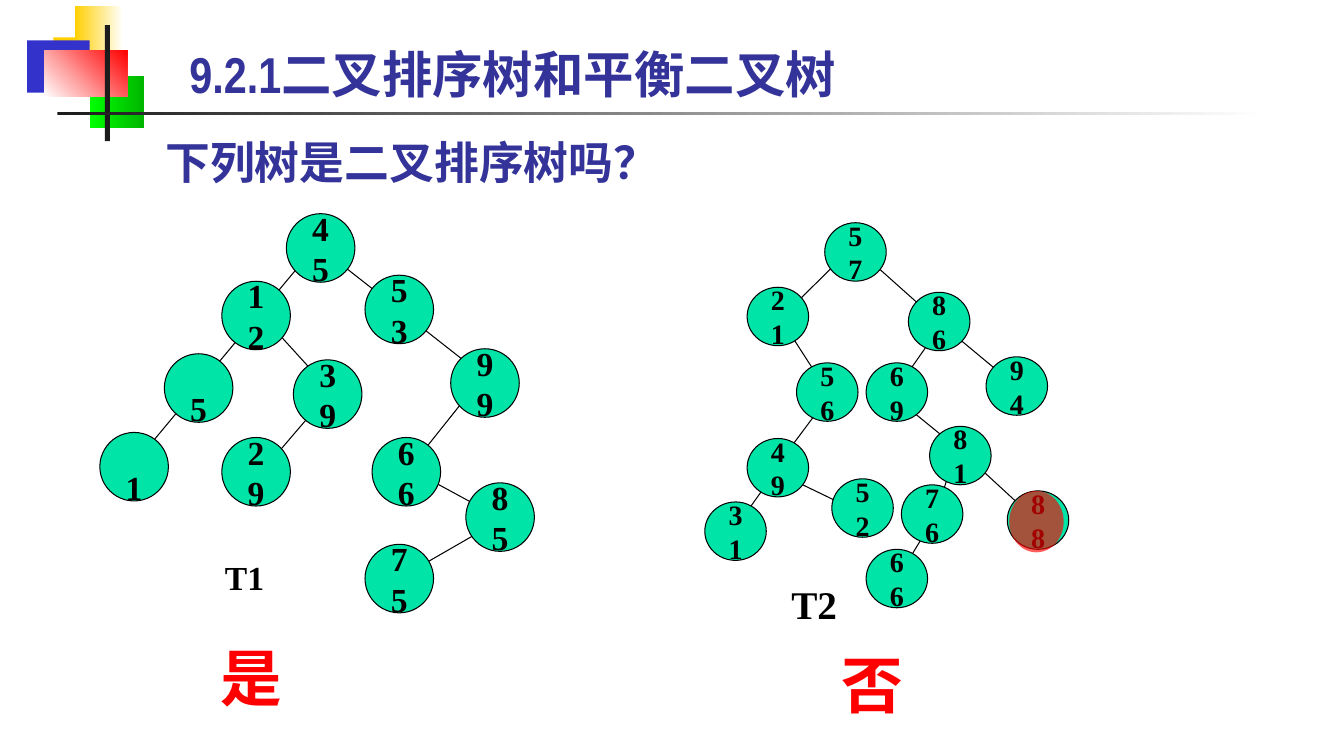
from lxml import etree
from pptx import Presentation
from pptx.dml.color import RGBColor
from pptx.enum.shapes import MSO_CONNECTOR, MSO_SHAPE
from pptx.enum.text import MSO_ANCHOR, PP_ALIGN
from pptx.oxml.ns import qn
from pptx.util import Inches, Pt

BLACK = RGBColor(0x00, 0x00, 0x00)
WHITE = RGBColor(0xFF, 0xFF, 0xFF)
RED = RGBColor(0xFF, 0x00, 0x00)
NAVY = RGBColor(0x33, 0x33, 0x99)
BLUE = RGBColor(0x33, 0x33, 0xCC)
GOLD = RGBColor(0xFF, 0xCF, 0x01)
LIME = RGBColor(0x00, 0xFF, 0x00)
GREEN = RGBColor(0x00, 0xB6, 0x00)
INK = RGBColor(0x1C, 0x1C, 0x1C)
MINT = RGBColor(0x00, 0xE4, 0xA8)
SERIF = "Times New Roman"
HAN = "Noto Sans CJK SC"

# Nodes: value, left, top
NODES_ONE = [
    ("45", 2.84, 2.12), ("99", 4.47, 3.46), ("53", 3.62, 2.73),
    ("12", 2.2, 2.79), ("5", 1.63, 3.51), ("75", 3.62, 5.4),
    ("85", 4.62, 4.79), ("66", 3.69, 4.34), ("29", 2.2, 4.34),
    ("39", 2.91, 3.57), ("1", 0.99, 4.29),
]
NODES_TWO = [
    ("88", 9.99, 4.87), ("66", 8.59, 5.45), ("81", 9.22, 4.23),
    ("52", 8.25, 4.75), ("49", 7.41, 4.35), ("94", 9.78, 3.54),
    ("69", 8.59, 3.6), ("56", 7.9, 3.6), ("86", 9.01, 2.9),
    ("21", 7.41, 2.85), ("57", 8.18, 2.21), ("76", 8.94, 4.81),
    ("31", 6.99, 4.98),
]

# Branches: points that each line passes through
EDGES_ONE = [
    [(4.77, 3.76), (4.06, 4.65), (4.98, 5.15), (3.92, 5.76)],
    [(2.57, 3.1), (3.28, 3.88), (2.57, 4.71)],
    [(3.14, 2.43), (4.91, 3.82)],
    [(3.14, 2.43), (1.29, 4.65)],
]
EDGES_TWO = [
    [(7.74, 4.61), (7.25, 5.3)],
    [(9.48, 4.49), (9.27, 5.13), (8.78, 5.94)],
    [(9.27, 3.16), (10.04, 3.8)],
    [(8.5, 2.41), (7.74, 3.16), (8.23, 3.92), (7.67, 4.67), (8.5, 5.07)],
    [(8.5, 2.47), (9.34, 3.22), (8.85, 3.92), (9.55, 4.49), (10.31, 5.19)],
]


def write(frame, text, size=24, color=BLACK, font=SERIF,
          align=PP_ALIGN.CENTER, anchor=MSO_ANCHOR.TOP, wrap=True):
    frame.word_wrap = wrap
    frame.vertical_anchor = anchor
    para = frame.paragraphs[0]
    para.alignment = align
    run = para.add_run()
    run.text = text
    run.font.name = font
    run.font.size = Pt(size)
    run.font.bold = True
    run.font.color.rgb = color
    east = etree.SubElement(run.font._element, qn("a:ea"))
    east.set("typeface", HAN)


def label(slide, text, left, top, width, height, **style):
    box = slide.shapes.add_textbox(
        Inches(left), Inches(top), Inches(width), Inches(height))
    write(box.text_frame, text, **style)


def solid(slide, kind, left, top, width, height, color):
    shape = slide.shapes.add_shape(
        kind, Inches(left), Inches(top), Inches(width), Inches(height))
    shape.shadow.inherit = False
    shape.fill.solid()
    shape.fill.fore_color.rgb = color
    shape.line.fill.background()
    return shape


def block(slide, left, top, width, height, color, end=None, angle=0):
    shape = solid(slide, MSO_SHAPE.RECTANGLE, left, top, width, height, color)
    if end is not None:
        shape.fill.gradient()
        shape.fill.gradient_angle = angle
        for stop, tint in zip(shape.fill.gradient_stops, (color, end)):
            stop.color.rgb = tint


def pen(shape):
    shape.line.color.rgb = BLACK
    shape.line.width = Pt(0.75)


def edge(slide, points):
    spots = [(Inches(x), Inches(y)) for x, y in points]
    if len(spots) == 2:
        line = slide.shapes.add_connector(
            MSO_CONNECTOR.STRAIGHT, *spots[0], *spots[1])
        pen(line)
        etree.SubElement(line._element.spPr, qn("a:effectLst"))
        return
    maker = slide.shapes.build_freeform(*spots[0])
    maker.add_line_segments(spots[1:], close=False)
    line = maker.convert_to_shape()
    line.shadow.inherit = False
    line.fill.background()
    pen(line)


def node(slide, text, left, top, width, height, size):
    ball = solid(slide, MSO_SHAPE.OVAL, left, top, width, height, MINT)
    pen(ball)
    frame = ball.text_frame
    if len(text) == 1:  # single digits sit low in the circle
        frame.margin_top, frame.margin_bottom = Inches(0.4), 0
    write(frame, text, size=size, anchor=MSO_ANCHOR.MIDDLE)


def tree(slide, edges, nodes, width, height, size):
    for points in edges:
        edge(slide, points)
    for text, left, top in nodes:
        node(slide, text, left, top, width, height, size)


def mark(slide, left, top, width, height):
    spot = solid(slide, MSO_SHAPE.OVAL, left, top, width, height, RED)
    tint = spot.fill._xPr.find(qn("a:solidFill"))[0]
    etree.SubElement(tint, qn("a:alpha")).set("val", "64000")


def main():
    deck = Presentation()
    deck.slide_width, deck.slide_height = Inches(13.33), Inches(7.5)
    slide = deck.slides.add_slide(deck.slide_layouts[6])

    # Corner ornament and rule
    block(slide, 0.53, 0.37, 0.64, 0.52, GOLD)
    block(slide, 0.74, 0.06, 0.48, 0.52, GOLD, end=WHITE)
    block(slide, 0.27, 0.4, 0.62, 0.52, BLUE)
    block(slide, 0.89, 0.75, 0.54, 0.52, LIME, end=GREEN)
    block(slide, 0.44, 0.5, 0.82, 0.46, WHITE, end=RED, angle=45)
    block(slide, 1.04, 0.25, 0.05, 1.15, INK)
    block(slide, 0.57, 1.11, 12, 0.03, INK, end=WHITE)

    # Headings
    label(slide, "9.2.1二叉排序树和平衡二叉树", 1.78, 0.25, 11.36, 0.83, size=36,
          color=NAVY, font="Arial Narrow", align=PP_ALIGN.LEFT,
          anchor=MSO_ANCHOR.BOTTOM)
    label(slide, "下列树是二叉排序树吗？", 1.54, 1.29, 9.29, 0.83, size=32,
          color=NAVY, font=HAN, align=PP_ALIGN.LEFT)

    # Trees
    tree(slide, EDGES_ONE, NODES_ONE, 0.68, 0.68, 24)
    label(slide, "T1", 2.13, 5.48, 0.59, 0.5, wrap=False)
    tree(slide, EDGES_TWO, NODES_TWO, 0.61, 0.58, 20)
    label(slide, "T2", 7.75, 5.71, 0.65, 0.57, size=28, wrap=False)

    # Answers and the wrong node
    label(slide, "是", 2.09, 6.3, 0.81, 0.83, size=44, color=RED, wrap=False)
    label(slide, "否", 8.25, 6.37, 0.81, 0.83, size=44, color=RED, wrap=False)
    mark(slide, 10.01, 4.87, 0.54, 0.61)

    deck.save("out.pptx")


if __name__ == "__main__":
    main()
